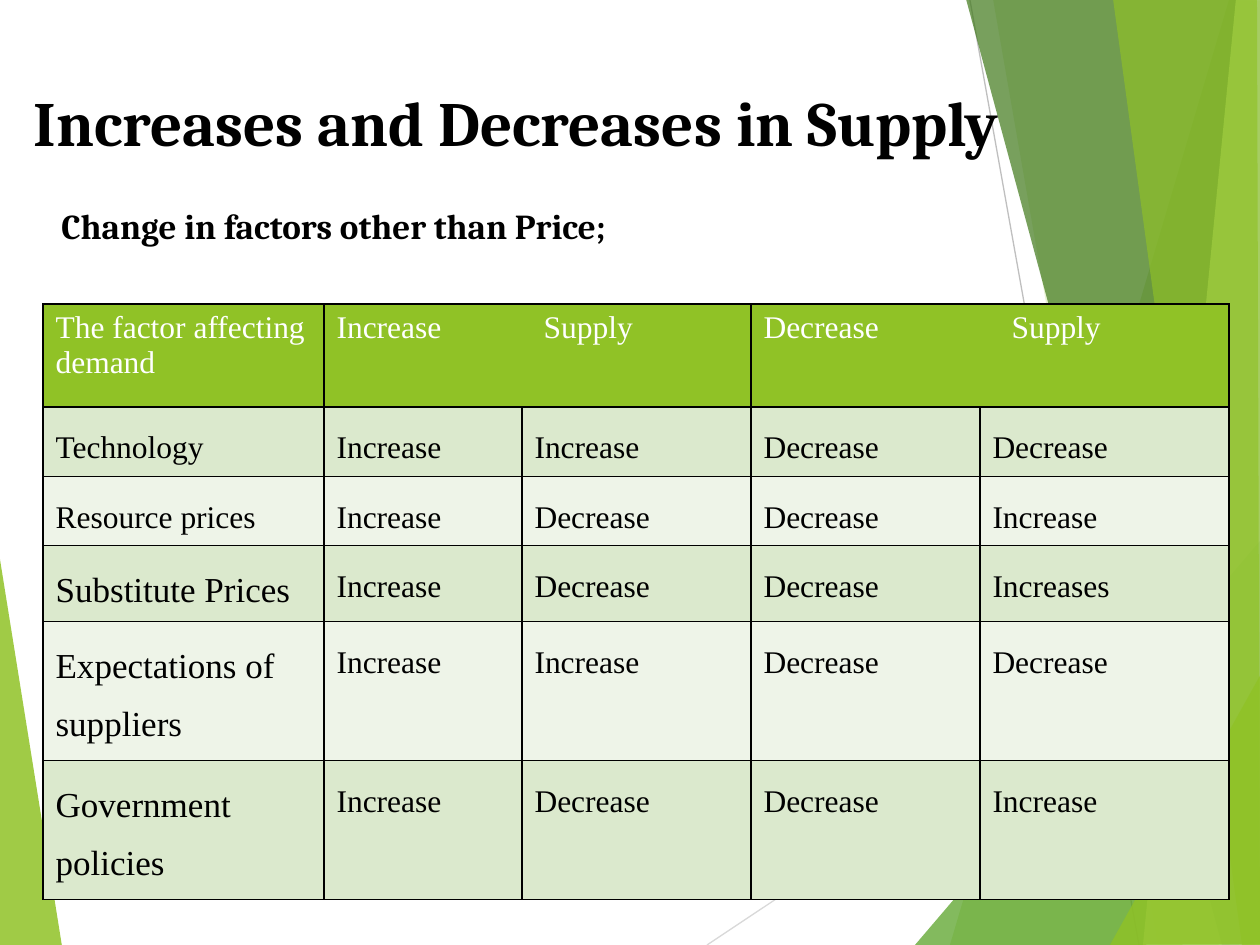
"""Build a slide with a table of the factors that increase and decrease supply."""
from lxml.etree import SubElement
from pptx import Presentation
from pptx.dml.color import RGBColor
from pptx.enum.shapes import MSO_CONNECTOR
from pptx.enum.text import MSO_ANCHOR, MSO_AUTO_SIZE, PP_ALIGN
from pptx.oxml import parse_xml
from pptx.oxml.ns import nsdecls, qn
from pptx.util import Emu, Pt

SCALE = 914400 / 126
WIDTH, HEIGHT = 1260, 945
COLORS = {
    "lime": "90C226", "green": "54A021", "forest": "3F7819", "pale": "C0E474",
    "silver": "D9D9D9", "gray": "BFBFBF", "black": "000000", "white": "FFFFFF",
    "band_dark": "DBE9CD", "band_light": "EEF4E8",
}
TITLE = "Increases and Decreases in Supply"
SUBTITLE = "Change in factors other than Price;"
LEFT_WEDGE = ("lime", 85, [(-1, 553), (62, 946), (-1, 945)])
RAYS = [
    ("silver", (707, 945), (1261, 576)),
    ("gray", (970, 0), (1139, 945)),
]
RIGHT_PANELS = [
    ("lime", 30, [(1229, 0), (950, 945), (1262, 946), (1261, 1)]),
    ("lime", 20, [(993, -1), (1158, 945), (1261, 945), (1261, -1)]),
    ("green", 72, [(915, 945), (1260, 541), (1261, 945)]),
    ("forest", 70, [(966, -1), (1222, 945), (1261, 944), (1261, -1)]),
    ("pale", 70, [(1236, -1), (1143, 945), (1261, 945), (1260, -1)]),
    ("lime", 65, [(1113, -1), (1242, 945), (1260, 945), (1257, -1)]),
    ("lime", 80, [(1110, 945), (1261, 674), (1261, 944)]),
]
HEADERS = [
    (0, 0, "The factor affecting demand", None),
    (1, 2, "Increase\tSupply", 207),
    (3, 4, "Decrease\tSupply", 248),
]
FACTORS = [
    ("Technology", 18, "Increase", "Increase", "Decrease", "Decrease"),
    ("Resource prices", 18, "Increase", "Decrease", "Decrease", "Increase"),
    ("Substitute Prices", 20, "Increase", "Decrease", "Decrease", "Increases"),
    ("Expectations of suppliers", 20, "Increase", "Increase", "Decrease", "Decrease"),
    ("Government policies", 20, "Increase", "Decrease", "Decrease", "Increase"),
]
COLUMN_WIDTHS = [281, 198, 229, 229, 249]
ROW_HEIGHTS = [103, 69, 69, 76, 139, 139]
TABLE_LEFT, TABLE_TOP = 43, 304


def px(value):
    return Emu(round(value * SCALE))


def rgb(name):
    return RGBColor.from_string(COLORS[name])


def style(para, font, size, color, bold=False):
    para.font.name, para.font.size, para.font.bold = font, Pt(size), bold
    para.font.color.rgb = rgb(color)


def add_panel(page, color, opacity, points):
    builder = page.shapes.build_freeform(*points[0], scale=SCALE)
    builder.add_line_segments(points[1:], close=True)
    panel = builder.convert_to_shape()
    panel.shadow.inherit = False
    panel.fill.solid()
    panel.fill.fore_color.rgb = rgb(color)
    panel.line.fill.background()
    fill_color = panel.fill._xPr.find(qn("a:solidFill"))[0]
    SubElement(fill_color, qn("a:alpha"), val=str(opacity * 1000))


def add_ray(page, color, start, end):
    ray = page.shapes.add_connector(MSO_CONNECTOR.STRAIGHT, *map(px, start + end))
    ray.line.color.rgb = rgb(color)
    ray.line.width = Pt(0.75)
    SubElement(ray._element.spPr, qn("a:effectLst"))


def add_texts(page):
    title = page.shapes.title
    title.left, title.top, title.width, title.height = map(px, (21, 77, 1087, 68))
    frame = title.text_frame
    frame.text = TITLE
    frame.auto_size = MSO_AUTO_SIZE.NONE
    frame.vertical_anchor = MSO_ANCHOR.TOP
    frame.paragraphs[0].alignment = PP_ALIGN.LEFT
    style(frame.paragraphs[0], "Cambria", 36, "black", True)
    page.shapes._spTree.append(title._element)

    box = page.shapes.add_textbox(*map(px, (1, 198, 1260, 693)))
    box.text_frame.word_wrap = True
    para = box.text_frame.paragraphs[0]
    para.text = SUBTITLE
    para.space_before = Pt(10)
    para._p.get_or_add_pPr().set("marL", str(px(48)))
    style(para, "Cambria", 20, "black", True)


def fill_cell(cell, text, size, color, background, spacing=None):
    cell.text = text
    para = cell.text_frame.paragraphs[0]
    if spacing:
        para.line_spacing = spacing
    style(para, "Times New Roman", size, color)
    cell.fill.solid()
    cell.fill.fore_color.rgb = rgb(background)
    return para


def add_borders(cell):
    properties = cell._tc.get_or_add_tcPr()
    for index, side in enumerate(("lnL", "lnR", "lnT", "lnB")):
        properties.insert(index, parse_xml(
            f'<a:{side} {nsdecls("a")} w="12700"><a:solidFill>'
            f'<a:srgbClr val="{COLORS["black"]}"/></a:solidFill></a:{side}>'))


def add_supply_table(page):
    table = page.shapes.add_table(
        len(ROW_HEIGHTS), len(COLUMN_WIDTHS), px(TABLE_LEFT), px(TABLE_TOP),
        px(sum(COLUMN_WIDTHS)), px(sum(ROW_HEIGHTS))).table
    for column, width in zip(table.columns, COLUMN_WIDTHS):
        column.width = px(width)
    for row, height in zip(table.rows, ROW_HEIGHTS):
        row.height = px(height)
    for first, last, text, tab in HEADERS:
        cell = table.cell(0, first)
        if last > first:
            cell.merge(table.cell(0, last))
        para = fill_cell(cell, text, 18, "white", "lime")
        if tab:
            para._p.get_or_add_pPr().insert(0, parse_xml(
                f'<a:tabLst {nsdecls("a")}><a:tab pos="{px(tab)}" algn="l"/></a:tabLst>'))
    for row, (factor, size, *effects) in enumerate(FACTORS, 1):
        band = "band_dark" if row % 2 else "band_light"
        fill_cell(table.cell(row, 0), factor, size, "black", band, 1.5)
        for column, effect in enumerate(effects, 1):
            fill_cell(table.cell(row, column), effect, 18, "black", band, 1.5)
    for cell in table.iter_cells():
        add_borders(cell)


def main():
    deck = Presentation()
    deck.slide_width, deck.slide_height = px(WIDTH), px(HEIGHT)
    page = deck.slides.add_slide(deck.slide_layouts[5])
    add_panel(page, *LEFT_WEDGE)
    for ray in RAYS:
        add_ray(page, *ray)
    for panel in RIGHT_PANELS:
        add_panel(page, *panel)
    add_texts(page)
    add_supply_table(page)
    deck.save("out.pptx")


if __name__ == "__main__":
    main()
